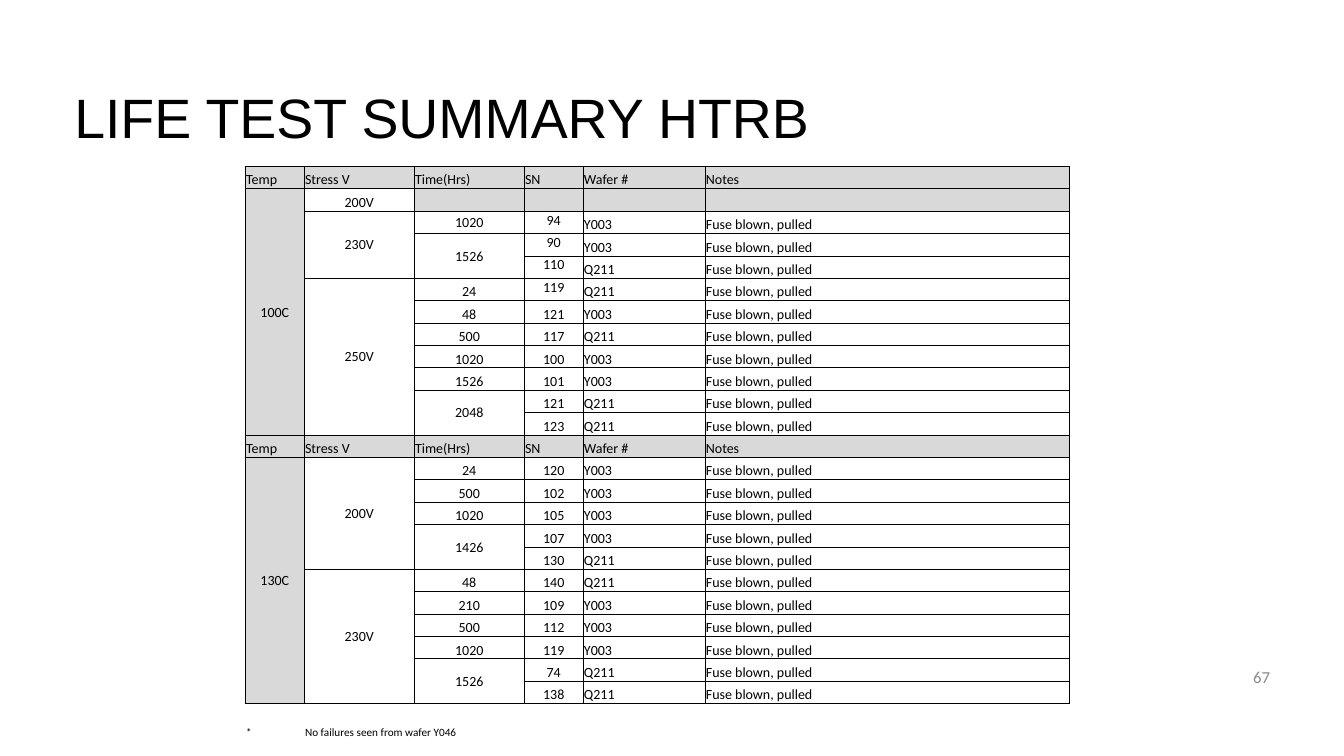
from lxml.etree import SubElement
from pptx import Presentation
from pptx.dml.color import RGBColor
from pptx.enum.text import MSO_ANCHOR as Anchor, PP_ALIGN as Align
from pptx.oxml import parse_xml
from pptx.oxml.ns import nsdecls, qn
from pptx.util import Pt

TITLE = "LIFE TEST SUMMARY HTRB"
PAGE = "67"
HEADINGS = ["Temp", "Stress V", "Time(Hrs)", "SN", "Wafer #", "Notes"]
NOTE = "Fuse blown, pulled"
FOOTNOTE = ("*", "No failures seen from wafer Y046")
TESTS = [
    ("100C", [
        ("200V", []),
        ("230V", [("1020", [("94", "Y003")]),
                  ("1526", [("90", "Y003"), ("110", "Q211")])]),
        ("250V", [("24", [("119", "Q211")]),
                  ("48", [("121", "Y003")]),
                  ("500", [("117", "Q211")]),
                  ("1020", [("100", "Y003")]),
                  ("1526", [("101", "Y003")]),
                  ("2048", [("121", "Q211"), ("123", "Q211")])]),
    ]),
    ("130C", [
        ("200V", [("24", [("120", "Y003")]),
                  ("500", [("102", "Y003")]),
                  ("1020", [("105", "Y003")]),
                  ("1426", [("107", "Y003"), ("130", "Q211")])]),
        ("230V", [("48", [("140", "Q211")]),
                  ("210", [("109", "Y003")]),
                  ("500", [("112", "Y003")]),
                  ("1020", [("119", "Y003")]),
                  ("1526", [("74", "Q211"), ("138", "Q211")])]),
    ]),
]
TOP_SERIALS = {"94", "90", "110"}
BLACK, GREY, PAGE_GREY = "000000", "D9D9D9", "8C8C8C"
COLUMNS = [42.1, 78.6, 78.6, 42.1, 87.1, 260]
ROW, FOOT_ROW, GRID_ROWS, FOOT_ROWS = 16, 13, 24, 2
TEMP, STRESS, TIME, SERIAL, WAFER, NOTES = range(6)


def color(value):
    return RGBColor.from_string(value)


def set_font(paragraph, name, size, value):
    font = paragraph.font
    font.name, font.size, font.color.rgb = name, Pt(size), color(value)


def add_label(text, box, name, size, value, align=Align.LEFT):
    frame = slide.shapes.add_textbox(*map(Pt, box)).text_frame
    frame.word_wrap = True
    frame.vertical_anchor = Anchor.MIDDLE
    label = frame.paragraphs[0]
    label.text, label.alignment = text, align
    set_font(label, name, size, value)
    return label


def add_borders(cell):
    for index, side in enumerate(("lnL", "lnR", "lnT", "lnB")):
        cell._tc.get_or_add_tcPr().insert(index, parse_xml(
            f'<a:{side} {nsdecls("a")} w="6350"><a:solidFill>'
            f'<a:srgbClr val="{BLACK}"/></a:solidFill></a:{side}>'))


def write(row, column, text, align=Align.CENTER, anchor=Anchor.BOTTOM, rows=1, size=10):
    cell = grid.cell(row, column)
    if rows > 1:
        cell.merge(grid.cell(row + rows - 1, column))
        anchor = Anchor.MIDDLE
    cell.vertical_anchor = anchor
    entry = cell.text_frame.paragraphs[0]
    entry.text, entry.alignment = text, align
    set_font(entry, "Calibri", size, BLACK)


def shade(row, columns):
    for column in columns:
        fill = grid.cell(row, column).fill
        fill.solid()
        fill.fore_color.rgb = color(GREY)


deck = Presentation()
deck.slide_width, deck.slide_height = Pt(960), Pt(540)
slide = deck.slides.add_slide(deck.slide_layouts[6])

add_label(TITLE, (46, 67.7, 868, 37.4), "Arial", 39.6, BLACK).line_spacing = 0.9
add_label(PAGE, (831.6, 468.7, 82.8, 28.8), "Calibri", 12, PAGE_GREY, Align.RIGHT)

heights = [ROW] * GRID_ROWS + [FOOT_ROW] * FOOT_ROWS
grid = slide.shapes.add_table(len(heights), len(COLUMNS), Pt(175.2), Pt(118.8),
                              Pt(sum(COLUMNS)), Pt(sum(heights))).table
grid.first_row = grid.horz_banding = False
grid._tbl.tblPr.find(qn("a:tableStyleId")).text = "{2D5ABB26-0587-4C30-8999-92F81FD0307C}"
for column, width in zip(grid.columns, COLUMNS):
    column.width = Pt(width)
for index, height in enumerate(heights):
    grid.rows[index].height = Pt(height)
    for cell in grid.rows[index].cells:
        cell.margin_left = cell.margin_right = cell.margin_top = Pt(0.6)
        cell.margin_bottom = 0
        cell.fill.background()
        SubElement(cell.text_frame.paragraphs[0]._p, qn("a:endParaRPr"), sz="800")
        if index < GRID_ROWS:
            add_borders(cell)

row = 0
for temp, stresses in TESTS:
    for column, heading in enumerate(HEADINGS):
        write(row, column, heading, Align.LEFT)
    shade(row, range(len(HEADINGS)))
    row += 1
    first = row
    for stress, times in stresses:
        stress_row = row
        for time, failures in times:
            write(row, TIME, time, rows=len(failures))
            for serial, wafer in failures:
                raised = serial in TOP_SERIALS or (serial, time) == ("119", "24")
                write(row, SERIAL, serial, anchor=Anchor.TOP if raised else Anchor.BOTTOM)
                write(row, WAFER, wafer, Align.LEFT)
                write(row, NOTES, NOTE, Align.LEFT)
                row += 1
        if not times:
            shade(row, range(TIME, NOTES + 1))
            row += 1
        write(stress_row, STRESS, stress, rows=row - stress_row)
    write(first, TEMP, temp, rows=row - first)
    for shaded in range(first, row):
        shade(shaded, [TEMP])
grid.cell(2, TIME).vertical_anchor = Anchor.MIDDLE

foot = len(heights) - 1
grid.cell(foot, STRESS).merge(grid.cell(foot, TIME))
for column, text in enumerate(FOOTNOTE):
    write(foot, column, text, Align.LEFT, size=8)

deck.save("out.pptx")
